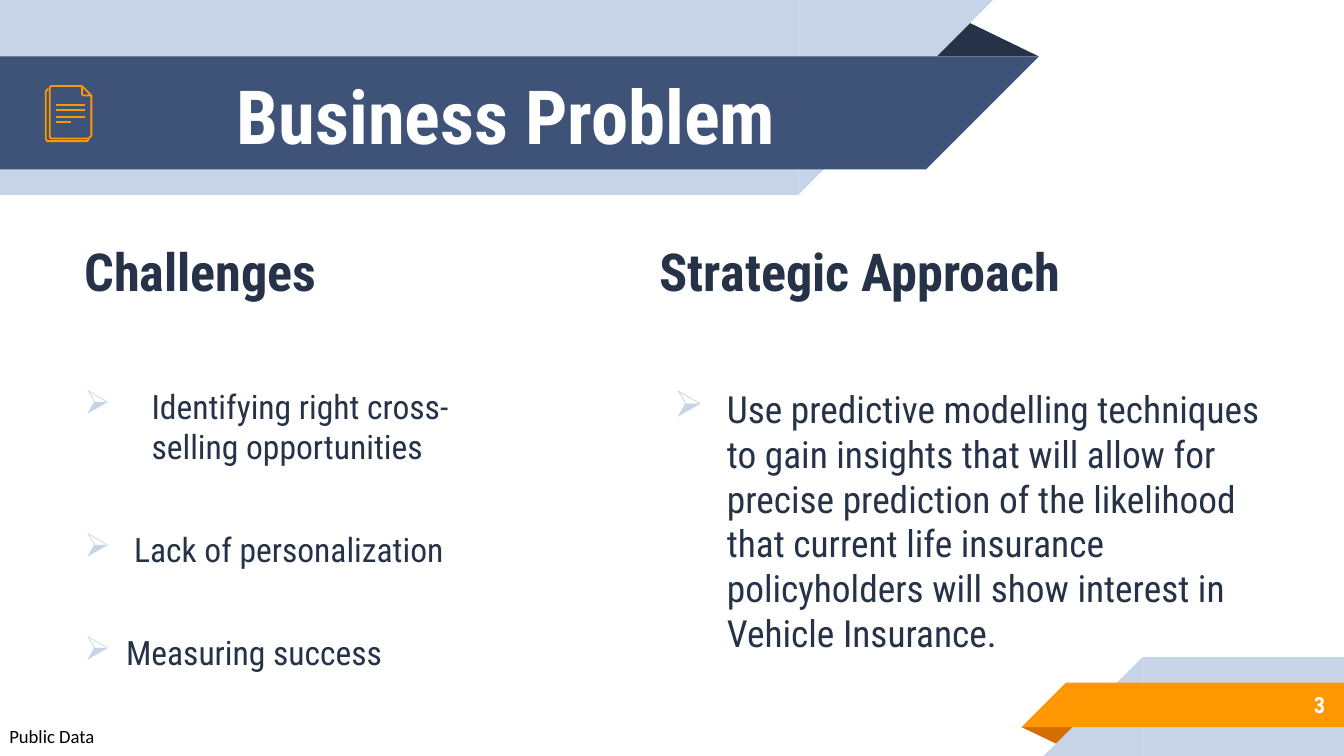
from dataclasses import dataclass

from lxml import etree
from pptx import Presentation
from pptx.dml.color import RGBColor
from pptx.enum.shapes import MSO_CONNECTOR, MSO_SHAPE
from pptx.enum.text import MSO_ANCHOR, MSO_AUTO_SIZE, PP_ALIGN
from pptx.oxml.ns import qn
from pptx.util import Emu, Inches, Pt

NAVY = RGBColor(0x26, 0x32, 0x48)
SLATE = RGBColor(0x3F, 0x53, 0x78)
PALE = RGBColor(0xC7, 0xD3, 0xE6)
ORANGE = RGBColor(0xFF, 0x98, 0x00)
RUST = RGBColor(0xD2, 0x6F, 0x00)
WHITE = RGBColor(0xFF, 0xFF, 0xFF)
BLACK = RGBColor(0x00, 0x00, 0x00)
FONT = "Roboto Condensed"
SLIDE_W, SLIDE_H = Inches(10), Inches(5.625)
ICON_UNIT = Inches(0.01)
ICON_LINE = Pt(0.96)


@dataclass(frozen=True)
class Box:
    """A frame in percent of the slide's width and height."""
    left: float
    top: float
    width: float
    height: float

    def emu(self) -> tuple[Emu, Emu, Emu, Emu]:
        return (Emu(int(SLIDE_W * self.left / 100)), Emu(int(SLIDE_H * self.top / 100)),
                Emu(int(SLIDE_W * self.width / 100)), Emu(int(SLIDE_H * self.height / 100)))


@dataclass(frozen=True)
class Band:
    """A bar whose slanted tip is as long as the bar is high."""
    box: Box
    color: RGBColor
    tip_right: bool


@dataclass(frozen=True)
class Fold:
    box: Box
    color: RGBColor
    rotation: int


@dataclass(frozen=True)
class Bullet:
    text: str
    indent: float
    hang: float
    before: float


@dataclass(frozen=True)
class Column:
    box: Box
    heading: str
    size: int
    bullets: tuple[Bullet, ...]


HEADER = (
    Fold(Box(68.8, 2.49, 8.5, 4.98), NAVY, 0),
    Band(Box(0, 0, 59.4, 25.78), PALE, True),
    Band(Box(0, 7.47, 68.9, 14.93), SLATE, True),
)
FOOTER = (
    Fold(Box(76, 96.18, 4.3, 2.49), RUST, 180),
    Band(Box(85, 86.93, 15, 13.07), PALE, False),
    Band(Box(79.3, 90.31, 20.7, 5.87), ORANGE, False),
)
COLUMNS = (
    Column(Box(5.3, 29.87, 35, 62.22), "Challenges", 18, (
        Bullet("Identifying right cross-selling opportunities", 0.5, 0.5, 45),
        Bullet("Lack of personalization", 0.37, 0.37, 33.5),
        Bullet("Measuring success", 0.31, 0.31, 33.5),
    )),
    Column(Box(48.1, 29.87, 48.8, 60.27), "Strategic Approach", 20, (
        Bullet("Use predictive modelling techniques to gain insights that will allow for "
               "precise prediction of the likelihood that current life insurance "
               "policyholders will show interest in Vehicle Insurance.", 0.5, 0.39, 45),
    )),
)
# Icon points, in hundredths of an inch
BACK_PAGE = ((66, 103), (65, 105), (64, 105), (36, 105), (35, 105), (34, 103),
             (34, 68), (35, 67), (36, 66))
FRONT_PAGE = ((68, 71), (68, 101), (67, 102), (66, 103), (38, 103), (37, 102),
              (37, 101), (37, 66), (37, 65), (38, 64), (61, 64))
CORNER = ((61, 70), (61, 64), (68, 71), (63, 71), (62, 71))
TEXT_LINES = ((63, 78), (63, 82), (63, 87), (53, 91))


def add_filled(s, kind, frame, color: RGBColor, rotation: int = 0):
    sp = s.shapes.add_shape(kind, *frame)
    sp.shadow.inherit = False
    sp.fill.solid()
    sp.fill.fore_color.rgb = color
    sp.line.fill.background()
    sp.rotation = rotation
    return sp


def add_fold(s, fold: Fold) -> None:
    sp = add_filled(s, MSO_SHAPE.ISOSCELES_TRIANGLE, fold.box.emu(), fold.color, fold.rotation)
    sp.adjustments[0] = 0.32


def add_band(s, band: Band) -> None:
    left, top, width, height = band.box.emu()
    add_filled(s, MSO_SHAPE.RECTANGLE, (left, top, width, height), band.color)
    tip_left = left + width if band.tip_right else left - height
    add_filled(s, MSO_SHAPE.RIGHT_TRIANGLE, (tip_left, top, height, height), band.color,
               90 if band.tip_right else 270)


def add_run(p, text: str, size: int, color: RGBColor, bold: bool = False,
            font: str = FONT) -> None:
    r = p.add_run()
    r.text = text
    r.font.name = font
    r.font.size = Pt(size)
    r.font.bold = bold
    r.font.color.rgb = color


def set_frame(tf, margin: float = 0.1, anchor=MSO_ANCHOR.TOP, wrap: bool = True) -> None:
    tf.word_wrap = wrap
    tf.auto_size = MSO_AUTO_SIZE.NONE
    tf.vertical_anchor = anchor
    tf.margin_left = tf.margin_right = tf.margin_top = tf.margin_bottom = Inches(margin)


def set_bullet(p, bullet: Bullet) -> None:
    pPr = p._p.get_or_add_pPr()
    pPr.set("marL", str(Inches(bullet.indent)))
    pPr.set("indent", str(-Inches(bullet.hang)))
    color = etree.SubElement(pPr, qn("a:buClr"))
    etree.SubElement(color, qn("a:srgbClr")).set("val", str(PALE))
    etree.SubElement(pPr, qn("a:buChar")).set("char", "➢")


def add_column(s, column: Column) -> None:
    tf = s.shapes.add_textbox(*column.box.emu()).text_frame
    set_frame(tf)
    p = tf.paragraphs[0]
    p.space_before = Pt(6)
    add_run(p, column.heading, 28, NAVY, bold=True)
    for bullet in column.bullets:
        p = tf.add_paragraph()
        p.space_before = Pt(bullet.before)
        set_bullet(p, bullet)
        add_run(p, bullet.text, column.size, NAVY)


def add_title(s, text: str) -> None:
    title = s.shapes.title
    title.left, title.top, title.width, title.height = Box(8.9, 7.64, 57.5, 14.93).emu()
    title.element.getparent().append(title.element)  # in front of the bands
    set_frame(title.text_frame, anchor=MSO_ANCHOR.MIDDLE)
    p = title.text_frame.paragraphs[0]
    p.alignment = PP_ALIGN.CENTER
    add_run(p, text, 40, WHITE, bold=True)


def add_outline(s, points, close: bool = False) -> None:
    builder = s.shapes.build_freeform(*points[0], scale=ICON_UNIT)
    builder.add_line_segments(points[1:], close=close)
    sp = builder.convert_to_shape()
    sp.shadow.inherit = False
    sp.fill.background()
    sp.line.color.rgb = ORANGE
    sp.line.width = ICON_LINE


def add_document_icon(s) -> None:
    add_outline(s, BACK_PAGE)
    add_outline(s, FRONT_PAGE)
    for right, y in TEXT_LINES:
        line = s.shapes.add_connector(MSO_CONNECTOR.STRAIGHT, right * ICON_UNIT,
                                      y * ICON_UNIT, 42 * ICON_UNIT, y * ICON_UNIT)
        line.line.color.rgb = ORANGE
        line.line.width = ICON_LINE
        etree.SubElement(line.element.spPr, qn("a:effectLst"))
    add_outline(s, CORNER, close=True)


def main() -> None:
    prs = Presentation()
    prs.slide_width, prs.slide_height = SLIDE_W, SLIDE_H
    s = prs.slides.add_slide(prs.slide_layouts[5])

    tf = s.shapes.add_textbox(*Box(0.7, 95.82, 6.6, 3.02).emu()).text_frame
    set_frame(tf, margin=0, wrap=False)
    add_run(tf.paragraphs[0], "Public Data", 10, BLACK, font="Calibri")

    for part in HEADER + FOOTER:
        if isinstance(part, Band):
            add_band(s, part)
        else:
            add_fold(s, part)
    add_title(s, "Business Problem")
    for column in COLUMNS:
        add_column(s, column)

    tf = s.shapes.add_textbox(*Box(83.3, 90.13, 16.3, 6.22).emu()).text_frame
    set_frame(tf, anchor=MSO_ANCHOR.MIDDLE)
    tf.paragraphs[0].alignment = PP_ALIGN.RIGHT
    add_run(tf.paragraphs[0], "3", 12, WHITE, bold=True)
    add_document_icon(s)
    prs.save("out.pptx")


if __name__ == "__main__":
    main()
